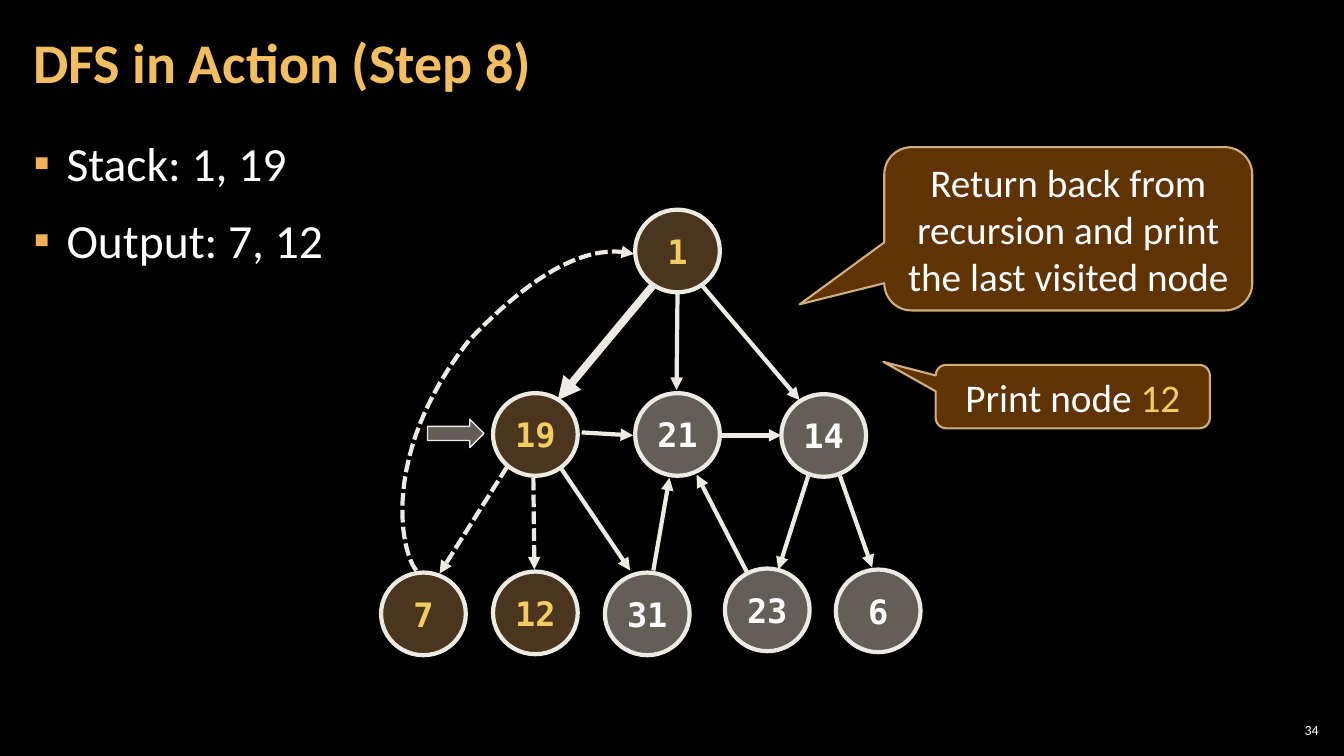
from lxml import etree
from pptx import Presentation
from pptx import util as u
from pptx.dml.color import RGBColor
from pptx.enum import dml, shapes, text
from pptx.oxml import ns

PX = 9144
COLORS = {
    "background": "000000", "text": "FFFFFF", "title": "F3BE60",
    "bullet": "F2B254", "highlight": "F3CD60", "edge": "ECEAE3",
    "visited": "6C4C2C", "unvisited": "C7BFAC",
    "callout": "663606", "callout_line": "F8D49E",
}
NODE_WIDTH, NODE_HEIGHT = 84, 82
NODES = [
    ("1", 630, 208, True), ("19", 489, 390, True), ("21", 630, 390, False),
    ("14", 775, 391, False), ("7", 378, 568, True), ("12", 489, 567, True),
    ("31", 600, 568, False), ("23", 719, 564, False), ("6", 829, 565, False),
]
EDGES = [
    ((647, 284), (553, 397), 5.5, False),
    ((672, 290), (671, 387), 3, False),
    ((697, 284), (793, 397), 3, False),
    ((577, 429), (628, 432), 3, False),
    ((715, 432), (775, 432), 3, False),
    ((503, 463), (436, 569), 3, True),
    ((529, 474), (530, 565), 3, True),
    ((556, 464), (625, 566), 3, False),
    ((648, 566), (664, 474), 3, False),
    ((741, 568), (691, 471), 3, False),
    ((802, 471), (772, 565), 3, False),
    ((833, 472), (865, 563), 3, False),
]
BACK_EDGE = [
    ((413, 566), (398, 549), (376, 451), (465, 338)),
    ((465, 338), (554, 244), (604, 246), (629, 252)),
]


def px(*lengths):
    return [u.Emu(round(length * PX)) for length in lengths]


def apply(target, values):
    for name, value in values.items():
        setattr(target, name, value)


def paint(color_format, color, opacity=100):
    color_format.rgb = RGBColor.from_string(COLORS[color])
    if opacity < 100:
        for element in color_format._xFill.iter(ns.qn("a:srgbClr")):
            etree.SubElement(element, ns.qn("a:alpha"), val=str(opacity * 1000))


def set_frame(frame, anchor, margins=(10, 5), wrap=True):
    side, top = px(*margins)
    apply(frame, {
        "word_wrap": wrap, "auto_size": text.MSO_AUTO_SIZE.NONE,
        "vertical_anchor": anchor, "margin_left": side, "margin_right": side,
        "margin_top": top, "margin_bottom": top,
    })


def write(paragraph, runs, size, align, font="Calibri", bold=False):
    paragraph.alignment = align
    for words, color in runs:
        run = paragraph.add_run()
        run.text = words
        apply(run.font, {"name": font, "size": u.Pt(size), "bold": bold})
        paint(run.font.color, color)


def style_line(line, color, width, opacity=100):
    line.fill.solid()
    paint(line.fill.fore_color, color, opacity)
    line.width = u.Pt(width)


def add_filled(slide, kind, box, fill, opacity):
    shape = slide.shapes.add_shape(kind, *px(*box))
    shape.shadow.inherit = False
    shape.fill.solid()
    paint(shape.fill.fore_color, fill, opacity)
    return shape


def style_edge(shape, width, dashed):
    style_line(shape.line, "edge", width)
    if dashed:
        shape.line.dash_style = dml.MSO_LINE.SQUARE_DOT
    etree.SubElement(shape.get_or_add_ln(), ns.qn("a:tailEnd"), type="triangle")


def add_title(slide, box):
    title = slide.shapes.title
    apply(title, dict(zip(("left", "top", "width", "height"), px(*box))))
    set_frame(title.text_frame, text.MSO_ANCHOR.MIDDLE, (12, 4))
    paragraph = title.text_frame.paragraphs[0]
    paragraph.line_spacing = 0.9
    write(paragraph, [("DFS in Action (Step 8)", "title")], 40,
          text.PP_ALIGN.LEFT, bold=True)


def add_state(slide, box):
    body = slide.placeholders[1]
    apply(body, dict(zip(("left", "top", "width", "height"), px(*box))))
    frame = body.text_frame
    set_frame(frame, text.MSO_ANCHOR.TOP, (12, 4))
    for index, words in enumerate(["Stack: 1, 19", "Output: 7, 12"]):
        paragraph = frame.add_paragraph() if index else frame.paragraphs[0]
        apply(paragraph, {"line_spacing": 1.05, "space_after": u.Pt(6),
                          "space_before": u.Pt(6 if index else 0)})
        properties = paragraph._p.get_or_add_pPr()
        indent = px(33)[0]
        properties.set("marL", str(indent))
        properties.set("indent", str(-indent))
        bullet_color = etree.SubElement(properties, ns.qn("a:buClr"))
        etree.SubElement(bullet_color, ns.qn("a:srgbClr"), val=COLORS["bullet"])
        etree.SubElement(properties, ns.qn("a:buChar"), char="▪")
        write(paragraph, [(words, "text")], 34, text.PP_ALIGN.LEFT)


def add_edge(slide, start, end, width, dashed):
    edge = slide.shapes.add_connector(
        shapes.MSO_CONNECTOR.STRAIGHT, *px(*start, *end))
    etree.SubElement(edge._element.spPr, ns.qn("a:effectLst"))
    style_edge(edge, width, dashed)
    effects = edge._element.spPr.find(ns.qn("a:effectLst"))
    edge._element.spPr.append(effects)


def bezier(controls, t):
    weights = ((1 - t) ** 3, 3 * t * (1 - t) ** 2, 3 * t * t * (1 - t), t ** 3)
    return px(*(sum(w * value for w, value in zip(weights, axis))
                for axis in zip(*controls)))


def add_back_edge(slide, curves, steps=24):
    points = [bezier(curve, step / steps)
              for curve in curves for step in range(1, steps + 1)]
    builder = slide.shapes.build_freeform(*px(*curves[0][0]))
    builder.add_line_segments(points, close=False)
    edge = builder.convert_to_shape()
    edge.shadow.inherit = False
    edge.fill.background()
    style_edge(edge, 3, True)


def add_node(slide, label, left, top, visited):
    fill, opacity, color = (("visited", 70, "highlight") if visited
                            else ("unvisited", 50, "text"))
    node = add_filled(slide, shapes.MSO_SHAPE.OVAL,
                      (left, top, NODE_WIDTH, NODE_HEIGHT), fill, opacity)
    style_line(node.line, "edge", 3)
    set_frame(node.text_frame, text.MSO_ANCHOR.MIDDLE, wrap=False)
    write(node.text_frame.paragraphs[0], [(label, color)], 24,
          text.PP_ALIGN.CENTER, "DejaVu Sans Mono", True)


def add_graph(slide):
    for edge in EDGES:
        add_edge(slide, *edge)
    for node in NODES:
        add_node(slide, *node)
    add_back_edge(slide, BACK_EDGE)
    pointer = add_filled(slide, shapes.MSO_SHAPE.RIGHT_ARROW,
                         (424, 416, 56, 28), "unvisited", 50)
    style_line(pointer.line, "edge", 1)


def add_callout(slide, box, tip, runs):
    callout = add_filled(slide, shapes.MSO_SHAPE.ROUNDED_RECTANGULAR_CALLOUT,
                         box, "callout", 95)
    left, top, width, height = box
    callout.adjustments[0] = (tip[0] - left) / width - 0.5
    callout.adjustments[1] = (tip[1] - top) / height - 0.5
    style_line(callout.line, "callout_line", 1.5, 80)
    set_frame(callout.text_frame, text.MSO_ANCHOR.MIDDLE)
    write(callout.text_frame.paragraphs[0], runs, 28, text.PP_ALIGN.CENTER)


def add_slide_number(slide, box):
    number = slide.shapes.add_textbox(*px(*box))
    set_frame(number.text_frame, text.MSO_ANCHOR.MIDDLE, (4, 4))
    write(number.text_frame.paragraphs[0], [("34", "text")], 10,
          text.PP_ALIGN.RIGHT)


def main():
    presentation = Presentation()
    presentation.slide_width, presentation.slide_height = px(1333, 750)
    slide = presentation.slides.add_slide(presentation.slide_layouts[1])
    slide.background.fill.solid()
    paint(slide.background.fill.fore_color, "background")
    add_slide_number(slide, (1265, 714, 47, 21))
    add_state(slide, (21, 126, 1291, 609))
    add_title(slide, (21, 4, 1047, 121))
    add_graph(slide)
    add_callout(slide, (877, 146, 365, 162), (793, 302), [
        ("Return back from recursion and print the last visited node", "text")])
    add_callout(slide, (928, 362, 272, 63), (876, 359),
                [("Print node ", "text"), ("12", "highlight")])
    presentation.save("out.pptx")


if __name__ == "__main__":
    main()
